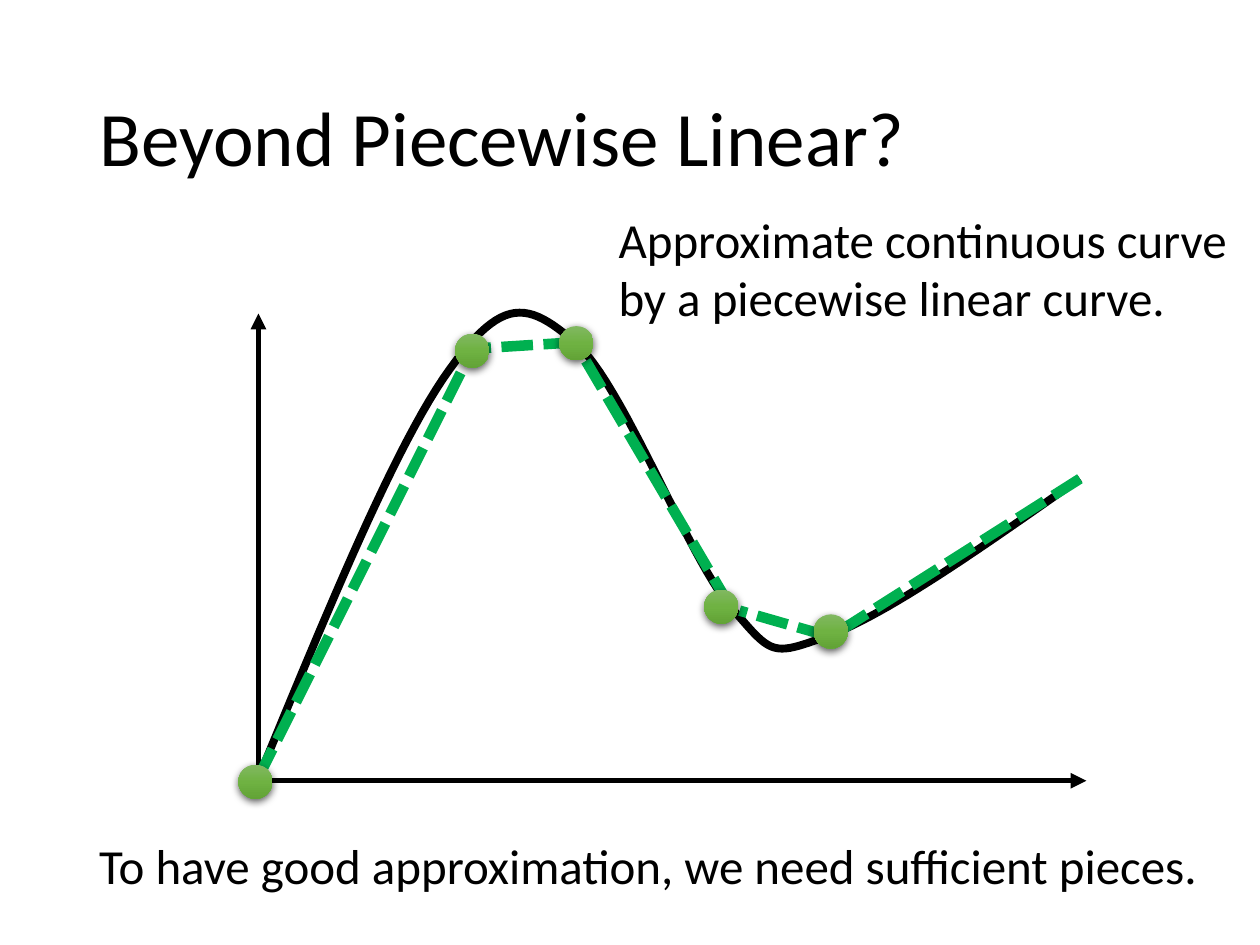
from pptx import Presentation
from pptx.dml.color import RGBColor
from pptx.enum.dml import MSO_LINE_DASH_STYLE as Dash
from pptx.enum.shapes import MSO_CONNECTOR as Connector, MSO_SHAPE as Shape
from pptx.enum.text import MSO_ANCHOR as Anchor, MSO_AUTO_SIZE as AutoSize, PP_ALIGN as Align
from pptx.oxml import parse_xml
from pptx.oxml.ns import nsdecls
from pptx.util import Cm, Pt

COLORS = {
    "ink": "000000",
    "piece": "00B050",
    "knot_top": "81B861",
    "knot_middle": "6FB242",
    "knot_bottom": "62A336",
}
FONT = "Calibri"

# Plot coordinates are in cm from the top left corner of the plot box.
AXIS_ORIGIN = (0, 9.42)
AXIS_ENDS = [(16.69, 9.42), (0, 0)]
CURVE_START = (0, 9.37)
CURVE_BEZIERS = [  # two control points and the end point
    ((1.4, 5.97), (2.79, 2.59), (3.86, 1.12)),
    ((4.93, -0.36), (5.44, -0.23), (6.38, 0.58)),
    ((7.32, 1.37), (8.66, 4.9), (9.5, 5.89)),
    ((10.36, 6.88), (10.31, 6.93), (11.48, 6.5)),
    ((12.67, 6.07), (14.61, 4.7), (16.56, 3.33)),
]
PIECES = [
    ((0, 9.35), (4.32, 0.71)),
    ((6.38, 0.58), (4.32, 0.71)),
    ((9.5, 5.89), (6.38, 0.58)),
    ((11.48, 6.5), (9.7, 5.99)),
    ((16.56, 3.33), (11.56, 6.5)),
]
KNOTS = [(4.31, 0.75), (6.41, 0.6), (9.33, 5.91), (11.54, 6.41), (-0.06, 9.44)]
KNOT_SIZE = 0.69
STEPS = 24


def rgb(name):
    return RGBColor.from_string(COLORS[name])


def element(body):
    """Parse one DrawingML element whose tag opens the given body."""
    tag, rest = body.split(" ", 1)
    return parse_xml(f"<a:{tag} {nsdecls('a')} {rest}")


def format_text(frame, text, size, **frame_format):
    for name, value in frame_format.items():
        setattr(frame, name, value)
    frame.text = text
    paragraph = frame.paragraphs[0]
    paragraph.alignment = Align.LEFT
    for name, value in {"name": FONT, "size": Pt(size)}.items():
        setattr(paragraph.font, name, value)
    paragraph.font.color.rgb = rgb("ink")
    return paragraph


def place_title(slide, text, left, top, width, height):
    title = slide.shapes.title
    box = {"left": Cm(left), "top": Cm(top), "width": Cm(width), "height": Cm(height)}
    for name, value in box.items():
        setattr(title, name, value)
    paragraph = format_text(title.text_frame, text, 44, word_wrap=True,
                            vertical_anchor=Anchor.MIDDLE, auto_size=AutoSize.NONE)
    paragraph.line_spacing = 0.9


def add_remark(slide, text, left, top, width, height, wrap):
    remark = slide.shapes.add_textbox(Cm(left), Cm(top), Cm(width), Cm(height))
    format_text(remark.text_frame, text, 28, word_wrap=wrap,
                auto_size=AutoSize.SHAPE_TO_FIT_TEXT)


def add_line(slide, start, end, color, width):
    line = slide.shapes.add_connector(Connector.STRAIGHT, *start, *end)
    line.line.color.rgb = rgb(color)
    line.line.width = Pt(width)
    line._element.spPr.append(element("effectLst />"))
    return line


def bezier_point(t, *controls):
    weights = ((1 - t) ** 3, 3 * t * (1 - t) ** 2, 3 * t ** 2 * (1 - t), t ** 3)
    return tuple(sum(w * c for w, c in zip(weights, axis)) for axis in zip(*controls))


def add_curve(slide, place):
    points, start = [], CURVE_START
    for controls in CURVE_BEZIERS:
        points += [place(bezier_point(step / STEPS, start, *controls))
                   for step in range(1, STEPS + 1)]
        start = controls[-1]
    builder = slide.shapes.build_freeform(*place(CURVE_START))
    builder.add_line_segments(points, close=False)
    curve = builder.convert_to_shape()
    curve.shadow.inherit = False
    curve.fill.background()
    curve.line.color.rgb = rgb("ink")
    curve.line.width = Pt(4.5)


def add_knot(slide, place, center):
    """Add a shaded green dot around the given centre."""
    corner = place([value - KNOT_SIZE / 2 for value in center])
    knot = slide.shapes.add_shape(Shape.OVAL, *corner, Cm(KNOT_SIZE), Cm(KNOT_SIZE))
    knot.line.fill.background()
    stops = "".join(
        f'<a:gs pos="{position}"><a:srgbClr val="{COLORS[name]}"/></a:gs>'
        for position, name in ((0, "knot_top"), (50000, "knot_middle"), (100000, "knot_bottom")))
    properties = knot._element.spPr
    properties.insert(2, element(
        f'gradFill rotWithShape="1"><a:gsLst>{stops}</a:gsLst>'
        '<a:lin ang="5400000" scaled="0"/></a:gradFill>'))
    properties.append(element(
        f'effectLst ><a:outerShdw blurRad="{Pt(4.5)}" dist="{Pt(1.5)}" dir="5400000" '
        f'algn="ctr" rotWithShape="0"><a:srgbClr val="{COLORS["ink"]}">'
        '<a:alpha val="63000"/></a:srgbClr></a:outerShdw></a:effectLst>'))


def add_plot(slide, left, top):
    def place(point):
        return Cm(left + point[0]), Cm(top + point[1])

    for end in AXIS_ENDS:
        axis = add_line(slide, place(AXIS_ORIGIN), place(end), "ink", 3)
        axis.line._get_or_add_ln().append(element('tailEnd type="triangle"/>'))
    add_curve(slide, place)
    for start, end in PIECES:
        piece = add_line(slide, place(start), place(end), "piece", 6)
        piece.line.dash_style = Dash.SQUARE_DOT
    for center in KNOTS:
        add_knot(slide, place, center)


def main():
    deck = Presentation()
    deck.slide_width, deck.slide_height = Cm(25.4), Cm(19.05)
    slide = deck.slides.add_slide(deck.slide_layouts[5])
    place_title(slide, "Beyond Piecewise Linear?", 1.75, 1.02, 21.9, 3.68)
    add_plot(slide, 5.21, 6.32)
    add_remark(slide, "To have good approximation, we need sufficient pieces.",
               1.75, 16.71, 23.37, 1.45, wrap=False)
    add_remark(slide, "Approximate continuous curve by a piecewise linear curve.",
               12.22, 4.09, 12.93, 2.64, wrap=True)
    deck.save("out.pptx")


if __name__ == "__main__":
    main()
